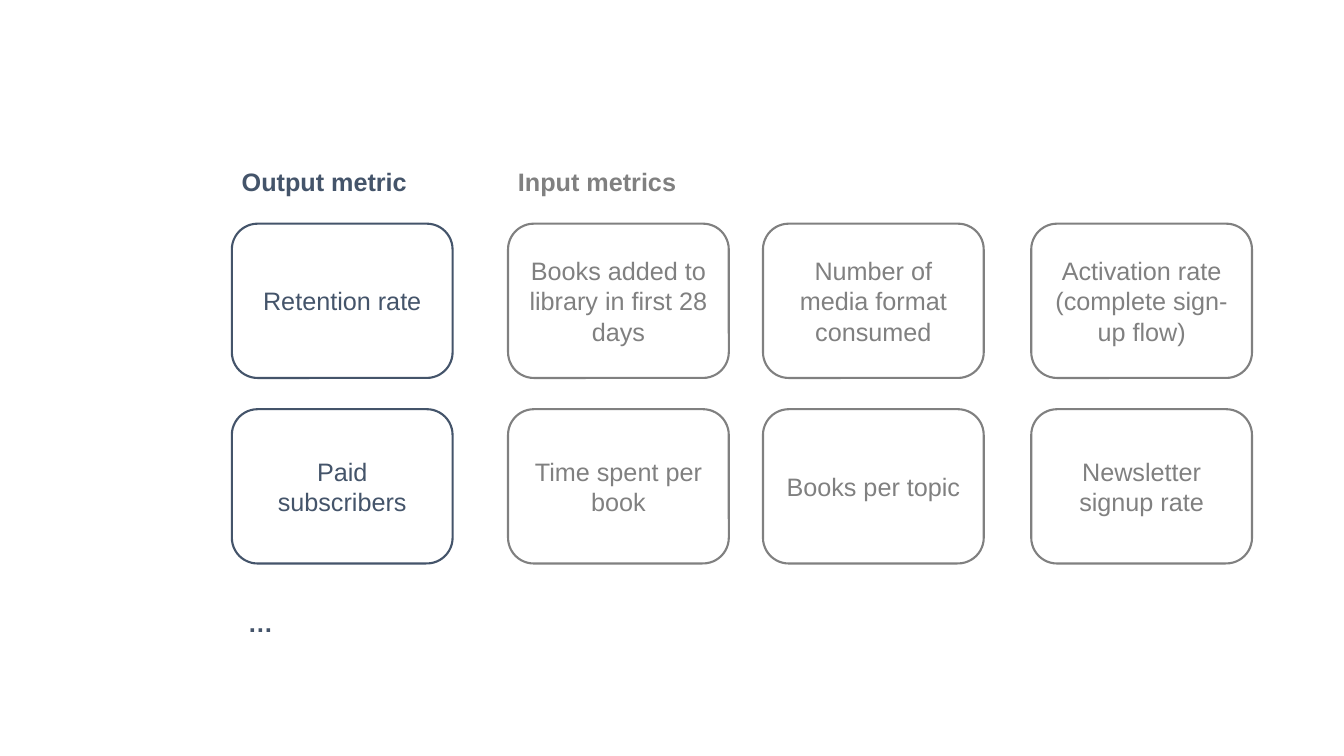
import pptx
import pptx.util
import pptx.dml.color
import pptx.enum.shapes
import pptx.enum.text

Pt = pptx.util.Pt
NAVY, GRAY = "44546A", "808080"
CARD_W, CARD_H, ROW_STEP = 157.7, 110.2, 132.5
HEADING_H, CARDS_DY = 28.8, 44.6


def color(value):
    return pptx.dml.color.RGBColor.from_string(value)


def style_text(tf, text, hex_color, bold=False):
    tf.text = text
    font = tf.paragraphs[0].runs[0].font
    font.name, font.size, font.bold = "Arial", Pt(18), bold
    font.color.rgb = color(hex_color)


def add_label(s, x, y, w, text, hex_color):
    tf = s.shapes.add_textbox(Pt(x), Pt(y), Pt(w), Pt(HEADING_H)).text_frame
    tf.word_wrap = False
    tf.auto_size = pptx.enum.text.MSO_AUTO_SIZE.SHAPE_TO_FIT_TEXT
    style_text(tf, text, hex_color, bold=True)


def add_card(s, x, y, text, hex_color):
    sp = s.shapes.add_shape(pptx.enum.shapes.MSO_SHAPE.ROUNDED_RECTANGLE,
                            Pt(x), Pt(y), Pt(CARD_W), Pt(CARD_H))
    sp.shadow.inherit = False
    sp.fill.background()
    sp.line.color.rgb = color(hex_color)
    sp.line.width = Pt(1.5)
    tf = sp.text_frame
    tf.word_wrap = True
    tf.vertical_anchor = pptx.enum.text.MSO_ANCHOR.MIDDLE
    style_text(tf, text, hex_color)
    tf.paragraphs[0].alignment = pptx.enum.text.PP_ALIGN.CENTER


def add_metric_group(s, x, y, heading, heading_w, column_offsets, rows, hex_color):
    """Heading above a grid of metric cards, placed from its top left corner."""
    add_label(s, x, y, heading_w, heading, hex_color)
    for i, row in enumerate(rows):
        for dx, metric in zip(column_offsets, row):
            add_card(s, x + dx, y + CARDS_DY + i * ROW_STEP, metric, hex_color)


def add_metrics_slide(prs):
    s = prs.slides.add_slide(prs.slide_layouts[6])
    top, output_x, input_x = 115.2, 165.6, 362.9

    # Output metrics
    add_metric_group(s, output_x, top, "Output metric", 133.9, [0],
                     [["Retention rate"], ["Paid subscribers"]], NAVY)

    # Input metrics
    add_metric_group(s, input_x, top, "Input metrics", 128.9, [0, 182.1, 373.7], [
        ["Books added to library in first 28 days",
         "Number of media format consumed",
         "Activation rate (complete sign-up flow)"],
        ["Time spent per book", "Books per topic", "Newsletter signup rate"],
    ], GRAY)

    # Continuation mark below the output metrics
    add_label(s, output_x + 4.3, top + 315.4, 32.4, "…", NAVY)


def main():
    prs = pptx.Presentation()
    prs.slide_width, prs.slide_height = Pt(960), Pt(540)
    add_metrics_slide(prs)
    prs.save("out.pptx")


if __name__ == "__main__":
    main()
